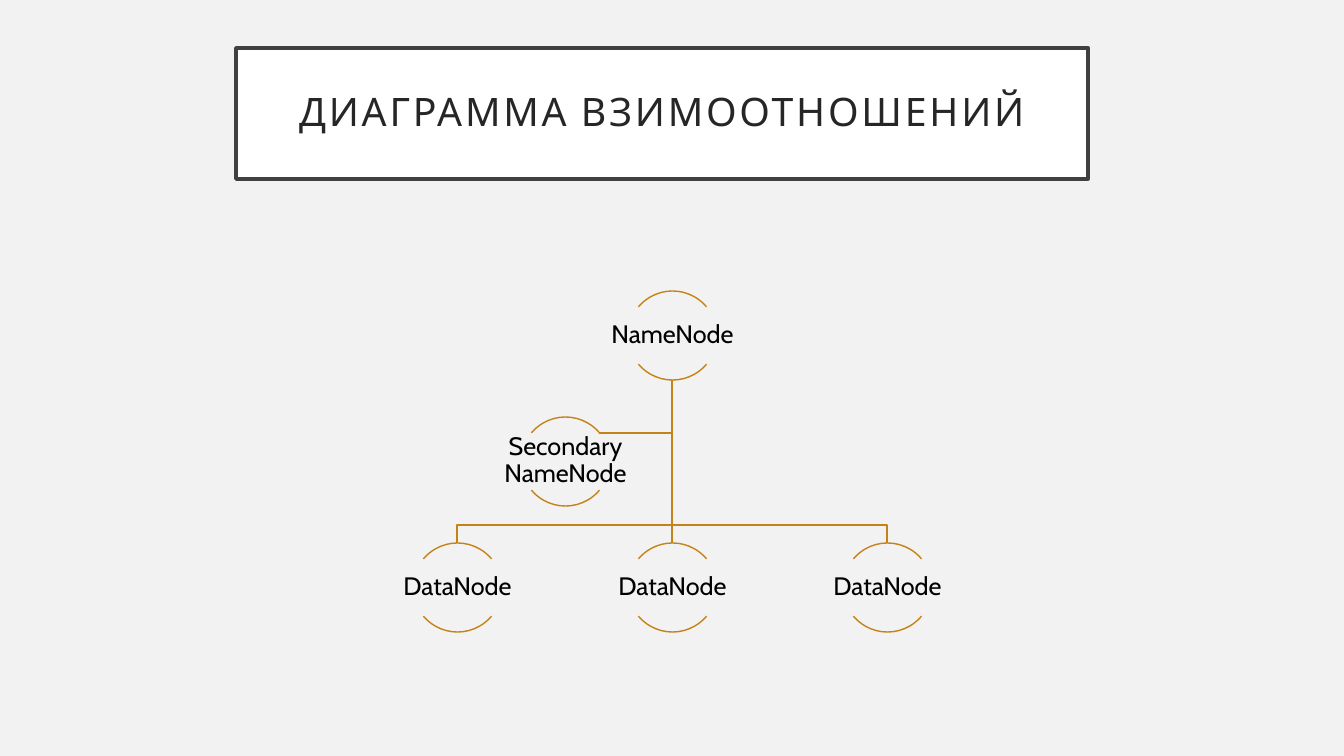
import dataclasses

import lxml.etree
import pptx
import pptx.dml.color
import pptx.enum.shapes
import pptx.enum.text
import pptx.oxml.ns
import pptx.util


@dataclasses.dataclass(frozen=True)
class Theme:
    font: str = "Cabin"
    background: str = "F2F2F2"
    panel: str = "FFFFFF"
    frame: str = "404040"
    title: str = "262626"
    text: str = "000000"
    accent: str = "C58217"
    title_size: float = 28
    node_size: float = 18
    frame_width: float = 2.5
    line_width: float = 1


PX = 914400 / 100.8
DIAMETER = 89
RADIUS = DIAMETER // 2
LABEL_WIDTH = 177
LABEL_HEIGHT = 56
CENTER = 672
COLUMN_STEP = 215
TOP = 291
ROW_STEP = 126
BUS_Y = 525


def px(length):
    return pptx.util.Emu(round(length * PX))


def color(value):
    return pptx.dml.color.RGBColor.from_string(value)


class SlideBuilder:
    def __init__(self, slide, theme):
        self.slide = slide
        self.theme = theme
        fill = slide.background.fill
        fill.solid()
        fill.fore_color.rgb = color(theme.background)

    def outline(self, line, shade, width):
        line.color.rgb = color(shade)
        line.width = pptx.util.Pt(width)

    def add_text(self, box, text, size, shade, inset, tracking=0):
        frame = box.text_frame
        frame.word_wrap = True
        frame.auto_size = pptx.enum.text.MSO_AUTO_SIZE.NONE
        frame.vertical_anchor = pptx.enum.text.MSO_ANCHOR.MIDDLE
        frame.margin_left = frame.margin_right = px(inset)
        frame.margin_top = frame.margin_bottom = px(inset)
        para = frame.paragraphs[0]
        para.alignment = pptx.enum.text.PP_ALIGN.CENTER
        para.line_spacing = 0.9
        span = para.add_run()
        span.text = text
        span.font.name = self.theme.font
        span.font.size = pptx.util.Pt(size)
        span.font.color.rgb = color(shade)
        if tracking:
            span._r.get_or_add_rPr().set("spc", str(tracking * 100))

    def title(self, text, left, top, width, height):
        box = self.slide.shapes.title
        box.left, box.top = px(left), px(top)
        box.width, box.height = px(width), px(height)
        box.fill.solid()
        box.fill.fore_color.rgb = color(self.theme.panel)
        self.outline(box.line, self.theme.frame, self.theme.frame_width)
        self.add_text(box, text, self.theme.title_size, self.theme.title, 20, 2)

    def line(self, x1, y1, x2, y2):
        connector = self.slide.shapes.add_connector(
            pptx.enum.shapes.MSO_CONNECTOR.STRAIGHT, px(x1), px(y1), px(x2), px(y2))
        self.outline(connector.line, self.theme.accent, self.theme.line_width)
        lxml.etree.SubElement(
            connector._element.spPr, pptx.oxml.ns.qn("a:effectLst"))

    def polyline(self, start, *points):
        builder = self.slide.shapes.build_freeform(*start, scale=PX)
        builder.add_line_segments(points, close=False)
        shape = builder.convert_to_shape()
        shape.shadow.inherit = False
        shape.fill.background()
        self.outline(shape.line, self.theme.accent, self.theme.line_width)

    def arc(self, left, top, start, end):
        shape = self.slide.shapes.add_shape(
            pptx.enum.shapes.MSO_SHAPE.ARC,
            px(left), px(top), px(DIAMETER), px(DIAMETER))
        shape.adjustments[0] = start * 0.6
        shape.adjustments[1] = end * 0.6
        shape.shadow.inherit = False
        shape.fill.background()
        self.outline(shape.line, self.theme.accent, self.theme.line_width)

    def node(self, text, center, top):
        left = center - RADIUS
        self.arc(left, top, 220, 320)
        self.arc(left, top, 40, 140)
        box = self.slide.shapes.add_textbox(
            px(center - LABEL_WIDTH // 2), px(top + (DIAMETER - LABEL_HEIGHT) // 2),
            px(LABEL_WIDTH), px(LABEL_HEIGHT))
        self.add_text(box, text, self.theme.node_size, self.theme.text, 1)


def main():
    deck = pptx.Presentation()
    deck.slide_width, deck.slide_height = px(1344), px(756)
    slide = deck.slides.add_slide(deck.slide_layouts[5])
    builder = SlideBuilder(slide, Theme())
    builder.title("ДИАГРАММА ВЗИМООТНОШЕНИЙ", 236, 48, 852, 131)

    trunk_top = TOP + DIAMETER
    secondary_center = CENTER - COLUMN_STEP // 2
    secondary_top = TOP + ROW_STEP
    data_top = TOP + 2 * ROW_STEP
    data_centers = [CENTER + COLUMN_STEP * column for column in (-1, 0, 1)]

    builder.polyline((CENTER, trunk_top), (CENTER, secondary_top + 16),
                     (secondary_center + 34, secondary_top + 16))
    for center in data_centers:
        if center == CENTER:
            builder.line(CENTER, trunk_top, CENTER, data_top)
        else:
            builder.polyline((CENTER, trunk_top), (CENTER, BUS_Y),
                             (center, BUS_Y), (center, data_top))

    builder.node("NameNode", CENTER, TOP)
    for center in data_centers:
        builder.node("DataNode", center, data_top)
    builder.node("Secondary NameNode", secondary_center, secondary_top)
    deck.save("out.pptx")


if __name__ == "__main__":
    main()
